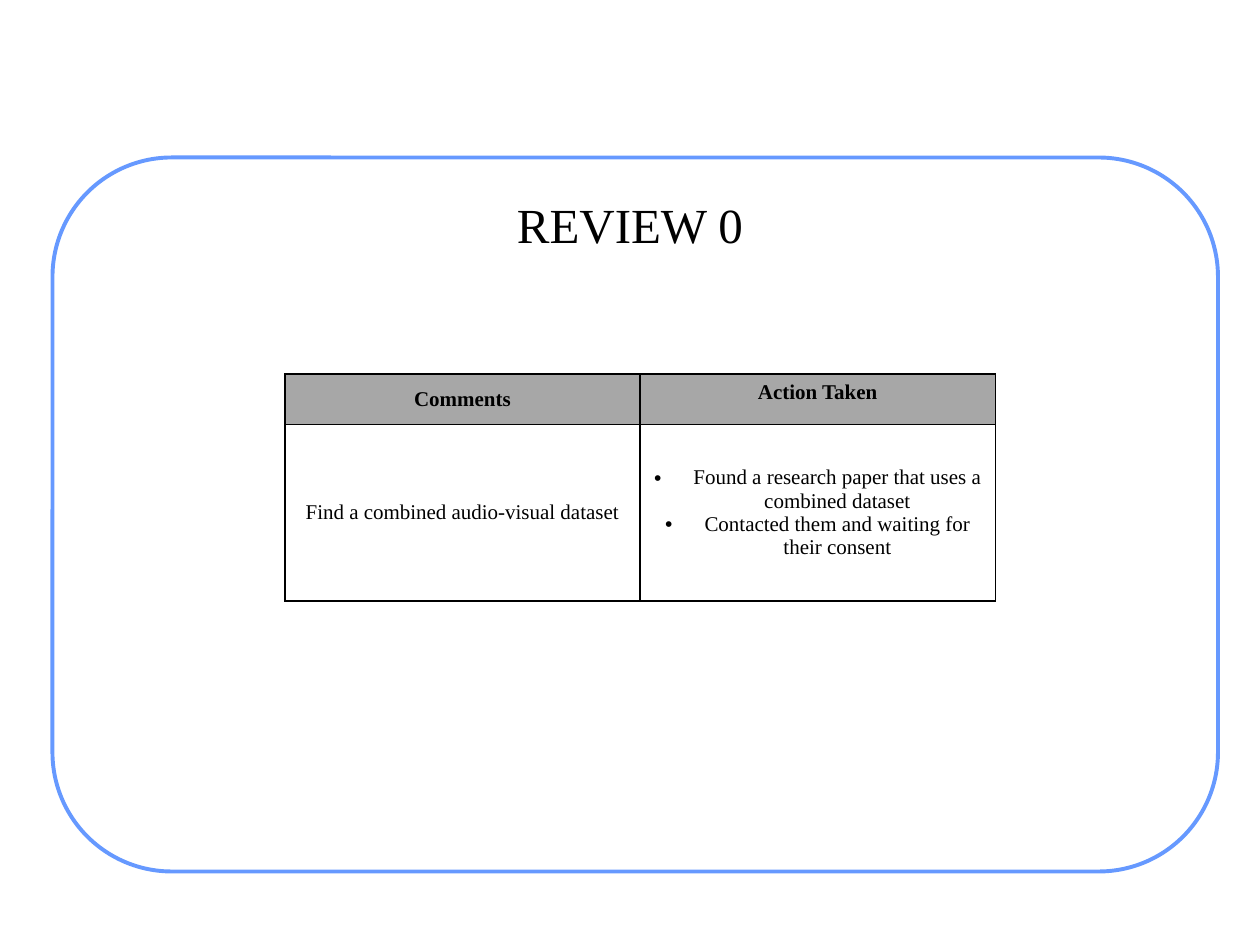
from dataclasses import dataclass

from lxml import etree
from pptx import Presentation
from pptx.dml.color import RGBColor
from pptx.enum.shapes import MSO_SHAPE
from pptx.enum.text import MSO_ANCHOR, PP_ALIGN
from pptx.oxml.ns import qn
from pptx.util import Pt

ROUNDED = MSO_SHAPE.ROUNDED_RECTANGLE
MIDDLE, TOP = MSO_ANCHOR.MIDDLE, MSO_ANCHOR.TOP
CENTER = PP_ALIGN.CENTER
BLANK_LAYOUT = 6


@dataclass(frozen=True)
class Theme:
    font: str = "Times New Roman"
    title_size: float = 28
    table_size: float = 12
    text: str = "000000"
    paper: str = "FFFFFF"
    frame: str = "6699FF"
    header: str = "A7A7A7"
    border: str = "000000"


THEME = Theme()


def color(value):
    return RGBColor.from_string(value)


def write_text(text_frame, lines, size, bold=False):
    """Fill a text frame with centred paragraphs in the slide's font."""
    text_frame.text = "\n".join(lines)
    for paragraph in text_frame.paragraphs:
        paragraph.alignment = CENTER
        for run in paragraph.runs:
            run.font.name = THEME.font
            run.font.size = Pt(size)
            run.font.bold = bold
            run.font.color.rgb = color(THEME.text)


def add_bullet(paragraph, indent):
    properties = paragraph._p.get_or_add_pPr()
    properties.set("marL", str(indent))
    properties.set("indent", str(-indent))
    font = etree.SubElement(properties, qn("a:buFont"))
    font.set("typeface", "Arial")
    bullet = etree.SubElement(properties, qn("a:buChar"))
    bullet.set("char", "•")


def add_borders(cell, width):
    properties = cell._tc.get_or_add_tcPr()
    for side in ("lnL", "lnR", "lnT", "lnB"):
        line = etree.SubElement(properties, qn(f"a:{side}"), w=str(width))
        fill = etree.SubElement(line, qn("a:solidFill"))
        etree.SubElement(fill, qn("a:srgbClr"), val=THEME.border)


def add_frame(slide):
    shape = slide.shapes.add_shape(ROUNDED, Pt(30), Pt(90), Pt(666), Pt(408))
    shape.adjustments[0] = 0.167
    shape.shadow.inherit = False
    shape.fill.solid()
    shape.fill.fore_color.rgb = color(THEME.paper)
    shape.line.color.rgb = color(THEME.frame)
    shape.line.width = Pt(2.25)


def add_title(slide, title):
    shape = slide.shapes.add_textbox(Pt(36), Pt(68.4), Pt(648), Pt(118.8))
    text_frame = shape.text_frame
    text_frame.word_wrap = True
    text_frame.vertical_anchor = MIDDLE
    write_text(text_frame, [title], THEME.title_size)


def fill_cell(cell, lines, header=False, anchor=MIDDLE):
    add_borders(cell, Pt(1))
    if header:
        cell.fill.solid()
        cell.fill.fore_color.rgb = color(THEME.header)
    else:
        cell.fill.background()
    cell.vertical_anchor = anchor
    write_text(cell.text_frame, lines, THEME.table_size, bold=header)


def add_review_table(slide, comment, actions):
    column_width, row_heights = 203, (28.8, 100.8)
    table = slide.shapes.add_table(
        2, 2, Pt(162.8), Pt(213.8), Pt(2 * column_width), Pt(sum(row_heights))
    ).table
    table.first_row = table.horz_banding = False
    for column in table.columns:
        column.width = Pt(column_width)
    for row, height in zip(table.rows, row_heights):
        row.height = Pt(height)

    # Header row
    fill_cell(table.cell(0, 0), ["Comments"], header=True)
    fill_cell(table.cell(0, 1), ["Action Taken"], header=True, anchor=TOP)

    # Review comment and the bulleted actions
    fill_cell(table.cell(1, 0), [comment])
    action_cell = table.cell(1, 1)
    fill_cell(action_cell, actions)
    for paragraph in action_cell.text_frame.paragraphs:
        add_bullet(paragraph, Pt(22.5))


def main():
    presentation = Presentation()
    presentation.slide_width, presentation.slide_height = Pt(720), Pt(540)
    slide = presentation.slides.add_slide(presentation.slide_layouts[BLANK_LAYOUT])

    add_frame(slide)
    add_title(slide, "REVIEW 0")
    add_review_table(
        slide,
        "Find a combined audio-visual dataset",
        [
            "Found a research paper that uses a combined dataset",
            "Contacted them and waiting for their consent",
        ],
    )
    presentation.save("out.pptx")


if __name__ == "__main__":
    main()
